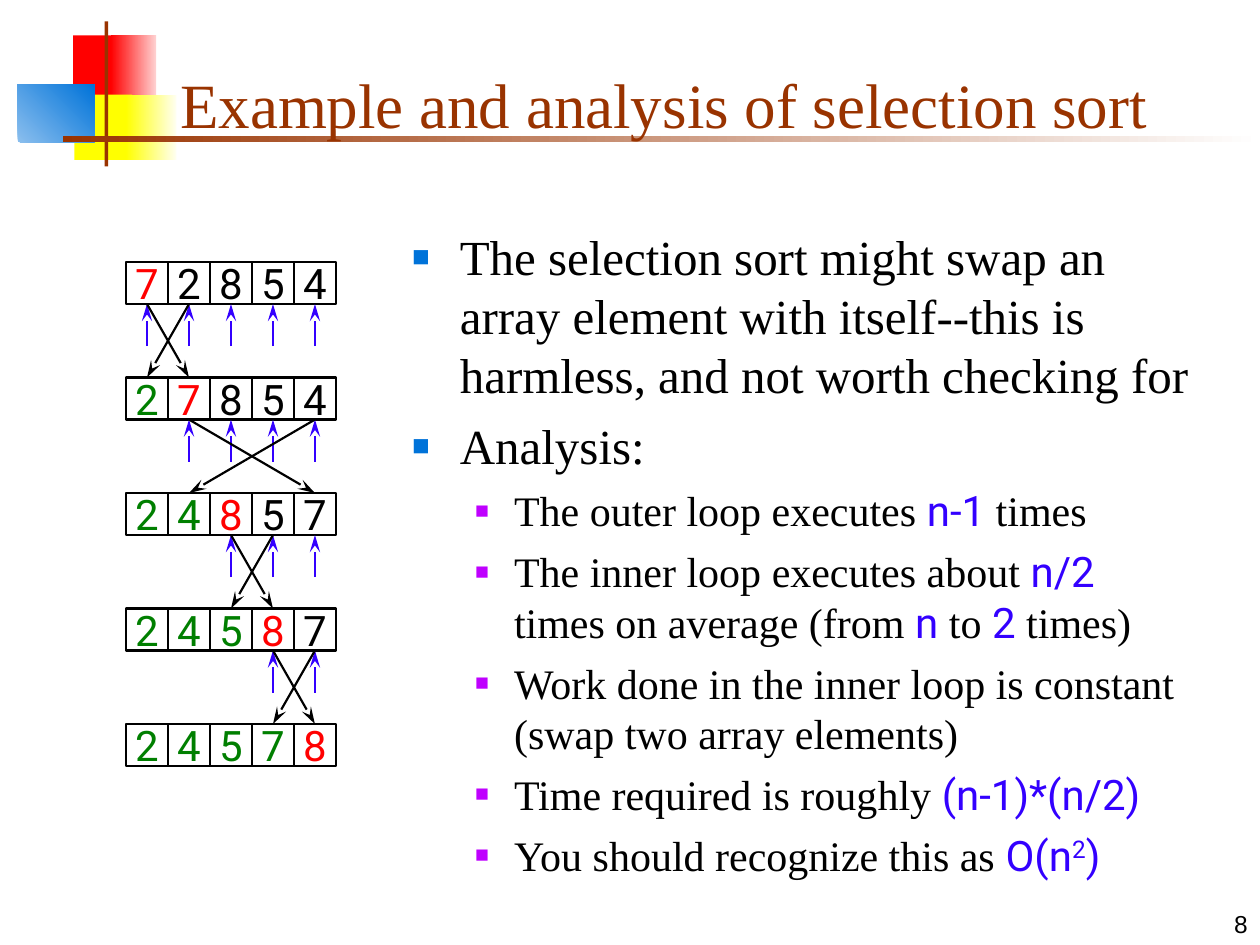
"""Build the slide on the example and analysis of selection sort."""
from lxml.etree import SubElement
from pptx import Presentation
from pptx.dml.color import RGBColor
from pptx.enum.shapes import MSO_CONNECTOR, MSO_SHAPE
from pptx.enum.text import MSO_ANCHOR, MSO_AUTO_SIZE, PP_ALIGN
from pptx.oxml.ns import qn
from pptx.util import Inches, Pt

BLACK = RGBColor(0x00, 0x00, 0x00)
WHITE = RGBColor(0xFF, 0xFF, 0xFF)
RED = RGBColor(0xFF, 0x00, 0x00)
PINK = RGBColor(0xFF, 0xD1, 0xD1)
YELLOW = RGBColor(0xFF, 0xFF, 0x00)
IVORY = RGBColor(0xFF, 0xFF, 0xF0)
SKY = RGBColor(0x8B, 0xBF, 0xEE)
BLUE = RGBColor(0x00, 0x73, 0xD9)
BROWN = RGBColor(0x99, 0x33, 0x00)
GREEN = RGBColor(0x00, 0x7F, 0x00)
VIOLET = RGBColor(0xBF, 0x00, 0xFF)
INDIGO = RGBColor(0x33, 0x00, 0xFF)

SERIF = "Times New Roman"
MONO = "Roboto"
PLAIN = {"font": SERIF, "color": BLACK}
CODE = {"font": MONO, "color": INDIGO}
POWER = {**CODE, "baseline": 30}

DECORATION = [
    ((0.58, 0.28, 0.35, 0.52), [RED], 0),
    ((0.88, 0.28, 0.36, 0.52), [RED, PINK], 0),
    ((0.59, 0.75, 0.46, 0.52), [YELLOW], 0),
    ((1, 0.75, 0.4, 0.52), [YELLOW, IVORY], 0),
    ((0.14, 0.67, 0.61, 0.46), [SKY, BLUE], 45),
    ((0.83, 0.17, 0.03, 1.15), [BROWN], 0),
    ((0.5, 1.08, 9.5, 0.05), [BROWN, WHITE], 0),
]
LEVELS = [
    {"size": 28, "before": 7, "margin": 0.38, "hang": 0.38, "color": BLUE, "percent": 60},
    {"size": 24, "before": 6, "margin": 0.81, "hang": 0.31, "color": VIOLET, "percent": 55},
]
BULLETS = [
    (0, [("The selection sort might swap an array element with itself--this is "
          "harmless, and not worth checking for", PLAIN)]),
    (0, [("Analysis:", PLAIN)]),
    (1, [("The outer loop executes ", PLAIN), ("n-1", CODE), (" times", PLAIN)]),
    (1, [("The inner loop executes about ", PLAIN), ("n/2", CODE),
         (" times on average (from ", PLAIN), ("n", CODE), (" to ", PLAIN),
         ("2", CODE), (" times)", PLAIN)]),
    (1, [("Work done in the inner loop is constant (swap two array elements)", PLAIN)]),
    (1, [("Time required is roughly ", PLAIN), ("(n-1)*(n/2)", CODE)]),
    (1, [("You should recognize this as ", PLAIN), ("O(n", CODE), ("2", POWER), (")", CODE)]),
]

START = [7, 2, 8, 5, 4]
ARRAY_LEFT, ARRAY_TOP = 1, 2.08
CELL = 1 / 3
ROW_PITCH = 11 / 12
TOP_SIDE, BOTTOM_SIDE = 0, 2


def add_text(paragraph, text, *, font, size, color, baseline=0):
    """Append a formatted run to the paragraph."""
    run = paragraph.add_run()
    run.text = text
    run.font.name = font
    run.font.size = Pt(size)
    run.font.color.rgb = color
    if baseline:
        run.font._element.set("baseline", str(baseline * 1000))


def place(shape, box):
    """Move and size the shape to a box in inches."""
    shape.left, shape.top, shape.width, shape.height = map(Inches, box)


def add_block(slide, box, colors, angle):
    """Add a plain or gradient rectangle behind the title."""
    block = slide.shapes.add_shape(MSO_SHAPE.RECTANGLE, *map(Inches, box))
    block.shadow.inherit = False
    block.line.fill.background()
    if len(colors) == 1:
        block.fill.solid()
        block.fill.fore_color.rgb = colors[0]
    else:
        block.fill.gradient()
        block.fill.gradient_angle = angle
        for stop, color, position in zip(block.fill.gradient_stops, colors, (0, 1)):
            stop.color.rgb = color
            stop.position = position
    slide.shapes.title.element.addprevious(block.element)


def add_title(slide, text):
    """Fill and format the title placeholder."""
    title = slide.shapes.title
    place(title, (1.33, 0.25, 8.52, 0.92))
    frame = title.text_frame
    frame.auto_size = MSO_AUTO_SIZE.NONE
    frame.vertical_anchor = MSO_ANCHOR.BOTTOM
    frame.paragraphs[0].alignment = PP_ALIGN.LEFT
    add_text(frame.paragraphs[0], text, font=SERIF, size=36, color=BROWN)


def format_bullet(paragraph, level):
    """Give the paragraph the indent, spacing and square bullet of its level."""
    style = LEVELS[level]
    paragraph.level = level
    paragraph.space_before = Pt(style["before"])
    properties = paragraph._p.get_or_add_pPr()
    properties.set("marL", str(Inches(style["margin"])))
    properties.set("indent", str(-Inches(style["hang"])))
    color = SubElement(properties, qn("a:buClr"))
    SubElement(color, qn("a:srgbClr"), val=str(style["color"]))
    SubElement(properties, qn("a:buSzPct"), val=str(style["percent"] * 1000))
    SubElement(properties, qn("a:buChar"), char="■")


def add_bullets(slide):
    """Fill the body placeholder with the two-level list."""
    body = slide.placeholders[1]
    place(body, (3.17, 1.75, 6.42, 5.33))
    frame = body.text_frame
    frame.auto_size = MSO_AUTO_SIZE.NONE
    for index, (level, segments) in enumerate(BULLETS):
        paragraph = frame.add_paragraph() if index else frame.paragraphs[0]
        format_bullet(paragraph, level)
        for text, style in segments:
            add_text(paragraph, text, size=LEVELS[level]["size"], **style)


def add_page_number(slide, number):
    """Add the page number at the bottom right."""
    frame = slide.shapes.add_textbox(*map(Inches, (7.92, 7, 2.08, 0.5))).text_frame
    frame.word_wrap = True
    frame.vertical_anchor = MSO_ANCHOR.BOTTOM
    frame.paragraphs[0].alignment = PP_ALIGN.RIGHT
    add_text(frame.paragraphs[0], number, font="Arial", size=14, color=BLACK)


def add_cell(slide, left, top, value, color):
    """Add one outlined array cell."""
    cell = slide.shapes.add_shape(
        MSO_SHAPE.FLOWCHART_PROCESS, Inches(left), Inches(top), Inches(CELL), Inches(CELL))
    cell.shadow.inherit = False
    cell.fill.background()
    cell.line.color.rgb = BLACK
    cell.line.width = Pt(1.5)
    frame = cell.text_frame
    frame.word_wrap = False
    frame.vertical_anchor = MSO_ANCHOR.MIDDLE
    frame.paragraphs[0].alignment = PP_ALIGN.CENTER
    add_text(frame.paragraphs[0], str(value), font=MONO, size=24, color=color)
    return cell


def add_array(slide, values, row):
    """Add a row of cells with sorted ones green and the next one red."""
    cells = []
    for column, value in enumerate(values):
        color = GREEN if column < row else RED if column == row else BLACK
        cells.append(add_cell(slide, ARRAY_LEFT + column * CELL,
                              ARRAY_TOP + row * ROW_PITCH, value, color))
    return cells


def add_arrow(slide, color):
    """Add a connector with a long stealth arrowhead at its end."""
    arrow = slide.shapes.add_connector(MSO_CONNECTOR.STRAIGHT, 0, 0, 0, 0)
    arrow.line.color.rgb = color
    arrow.line.width = Pt(1.25)
    SubElement(arrow.line._get_or_add_ln(), qn("a:tailEnd"), type="stealth", w="med", len="lg")
    SubElement(arrow.element.spPr, qn("a:effectLst"))
    return arrow


def add_scan_arrow(slide, cell):
    """Add an upward arrow that ends at the bottom of the cell."""
    arrow = add_arrow(slide, INDIGO)
    arrow.begin_x = cell.left + cell.width // 2
    arrow.begin_y = cell.top + cell.height + Inches(CELL)
    arrow.end_connect(cell, BOTTOM_SIDE)


def add_swap_arrow(slide, source, target):
    """Join the bottom of one cell to the top of another."""
    arrow = add_arrow(slide, BLACK)
    arrow.begin_connect(source, BOTTOM_SIDE)
    arrow.end_connect(target, TOP_SIDE)


def add_selection_sort(slide):
    """Draw every step of the sort with its scans and swaps."""
    values = list(START)
    cells = add_array(slide, values, 0)
    for step in range(len(values) - 1):
        smallest = values.index(min(values[step:]))
        values[step], values[smallest] = values[smallest], values[step]
        following = add_array(slide, values, step + 1)
        for cell in cells[step:]:
            add_scan_arrow(slide, cell)
        add_swap_arrow(slide, cells[step], following[smallest])
        add_swap_arrow(slide, cells[smallest], following[step])
        cells = following


def main():
    """Create and save the presentation."""
    presentation = Presentation()
    presentation.slide_width = Inches(10)
    presentation.slide_height = Inches(7.5)
    slide = presentation.slides.add_slide(presentation.slide_layouts[1])
    for box, colors, angle in DECORATION:
        add_block(slide, box, colors, angle)
    add_title(slide, "Example and analysis of selection sort")
    add_bullets(slide)
    add_page_number(slide, "8")
    add_selection_sort(slide)
    presentation.save("out.pptx")


if __name__ == "__main__":
    main()
